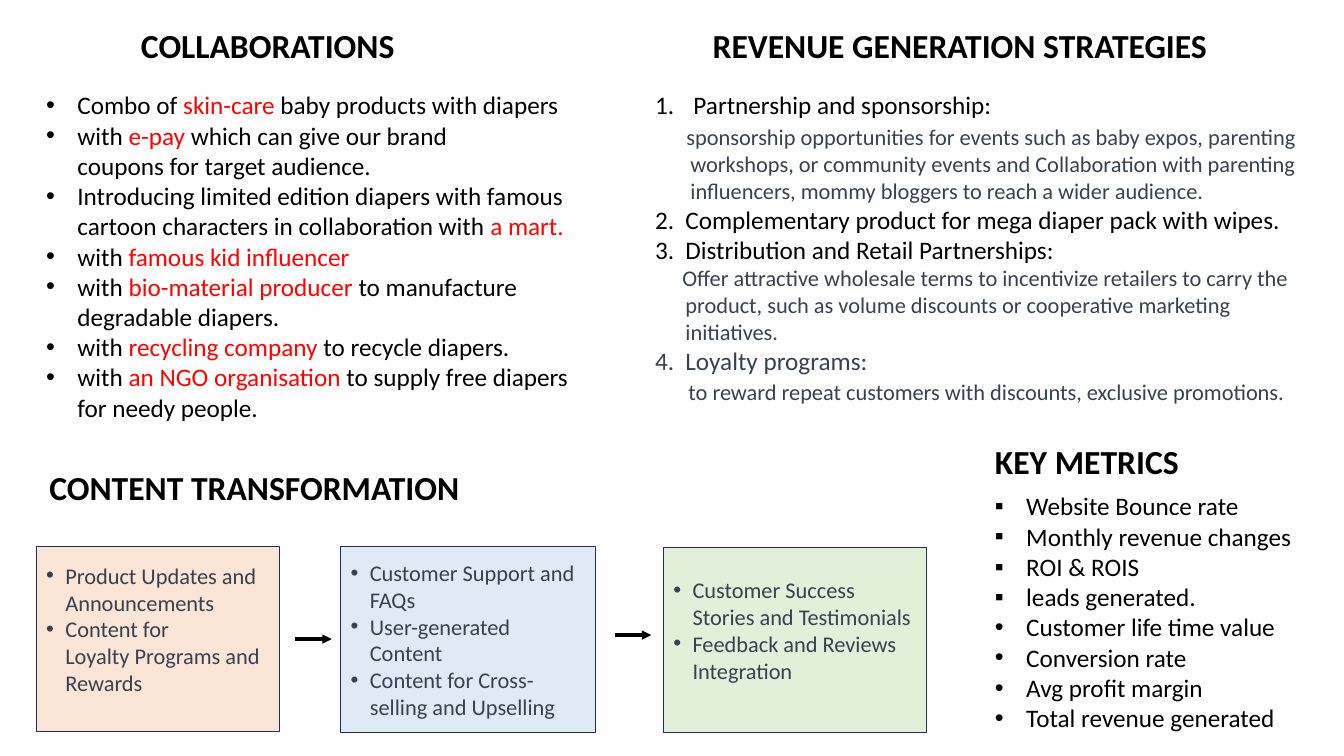
"""Builds a slide on collaborations, revenue, content and key metrics."""
import pptx
import pptx.chart.data
import pptx.dml.color
import pptx.enum.shapes
import pptx.enum.text
import pptx.oxml
import pptx.oxml.ns
import pptx.util
from pptx.util import Inches

COLORS = {
    "ink": "000000", "slate": "374151", "accent": "FF0000", "border": "1E3256",
    "peach": "FBE5D6", "sky": "DEEBF7", "mint": "E2F0D9",
}
FONT = "Calibri"
HEADINGS = [
    ("COLLABORATIONS", (1.3, 0.24, 4.62, 0.52), 0.9),
    ("REVENUE GENERATION STRATEGIES", (6.97, 0.24, 5.59, 0.52), 0.9),
    ("KEY METRICS", (9.77, 4.33, 3.32, 0.5), 1),
    ("CONTENT TRANSFORMATION", (0.39, 4.58, 5.28, 0.5), 1),
]
COLLABORATIONS_AREA = (0.36, 0.84, 5.64, 3.74)
COLLABORATIONS = [
    ("Combo of ", "skin-care", " baby products with diapers"),
    ("with ", "e-pay", " which can give our brand\ncoupons for target audience."),
    ("Introducing limited edition diapers with famous "
     "cartoon characters in collaboration with ", "a mart.", ""),
    ("with ", "famous kid influencer", ""),
    ("with ", "bio-material producer", " to manufacture degradable diapers."),
    ("with ", "recycling company", " to recycle diapers."),
    ("with ", "an NGO organisation", " to supply free diapers for needy people."),
]
STRATEGIES_AREA = (6.4, 0.84, 6.73, 4.14)
STRATEGIES = [
    {"title": "Partnership and sponsorship:", "hang": 0.38, "color": "ink",
     "detail": "sponsorship opportunities for events such as baby expos, parenting "
               "workshops, or community events and Collaboration with parenting "
               "influencers, mommy bloggers to reach a wider audience.",
     "left": 0.35, "first": -0.04, "before": 2.4},
    {"title": "Complementary product for mega diaper pack with wipes.",
     "hang": 0.3, "color": "ink"},
    {"title": "Distribution and Retail Partnerships:", "hang": 0.3, "color": "ink",
     "detail": "Offer attractive wholesale terms to incentivize retailers to carry the "
               "product, such as volume discounts or cooperative marketing initiatives.",
     "left": 0.3, "first": -0.03, "before": 0},
    {"title": "Loyalty programs:", "hang": 0.3, "color": "slate",
     "detail": "to reward repeat customers with discounts, exclusive promotions.",
     "left": 0.33, "first": 0, "before": 2.4},
]
METRICS_AREA = (9.77, 4.82, 3.39, 2.83)
METRICS = {
    "▪": ["Website Bounce rate", "Monthly revenue changes", "ROI & ROIS",
          "leads generated."],
    "•": ["Customer life time value", "Conversion rate", "Avg profit margin",
          "Total revenue generated"],
}
STAGES = [
    ((0.36, 5.42, 2.41, 1.84), "peach", 0.25,
     ["Product Updates and Announcements",
      "Content for\nLoyalty Programs and Rewards"]),
    ((3.38, 5.42, 2.53, 1.85), "sky", 0.05,
     ["Customer Support and FAQs", "User-generated\nContent",
      "Content for Cross-selling and Upselling"]),
    ((6.58, 5.43, 2.61, 1.84), "mint", 0.25,
     ["Customer Success Stories and Testimonials",
      "Feedback and Reviews Integration"]),
]
ARROWS = [(2.93, 6.34), (6.1, 6.3)]
ARROW_LENGTH = 0.36


def rgb(name):
    return pptx.dml.color.RGBColor.from_string(COLORS[name])


def add_child(parent, tag, **attributes):
    child = pptx.oxml.parse_xml(f"<a:{tag} {pptx.oxml.ns.nsdecls('a')}/>")
    for key, value in attributes.items():
        child.set(key, str(value))
    parent.append(child)


def add_paragraph(frame, parts, size, left=0, first=0, bullet=None, number=None,
                  before=0, bold=False, line_spacing=1):
    """Write one paragraph from (text, colour) parts; a newline breaks the line."""
    used = frame.paragraphs[0].runs
    paragraph = frame.add_paragraph() if used else frame.paragraphs[0]
    paragraph.alignment = pptx.enum.text.PP_ALIGN.LEFT
    paragraph.space_before = pptx.util.Pt(before)
    paragraph.line_spacing = line_spacing
    properties = paragraph._p.get_or_add_pPr()
    properties.set("marL", str(Inches(left)))
    properties.set("indent", str(Inches(first)))
    if bullet:
        add_child(properties, "buFont", typeface="Arial")
        add_child(properties, "buChar", char=bullet)
    elif number:
        add_child(properties, "buAutoNum", type="arabicPeriod", startAt=number)
    for text, color in parts:
        for index, line in enumerate(text.split("\n")):
            if index:
                paragraph.add_line_break()
            if line:
                run = paragraph.add_run()
                run.text = line
                run.font.name = FONT
                run.font.size = pptx.util.Pt(size)
                run.font.bold = bold
                run.font.color.rgb = rgb(color)


def add_text_frame(slide, area):
    frame = slide.shapes.add_textbox(*map(Inches, area)).text_frame
    frame.word_wrap = True
    return frame


def add_stage(slide, area, fill, bottom, topics):
    stage = slide.shapes.add_shape(
        pptx.enum.shapes.MSO_SHAPE.RECTANGLE, *map(Inches, area))
    stage.shadow.inherit = False
    stage.fill.solid()
    stage.fill.fore_color.rgb = rgb(fill)
    stage.line.color.rgb = rgb("border")
    stage.line.width = pptx.util.Pt(1)
    frame = stage.text_frame
    frame.word_wrap = True
    frame.vertical_anchor = pptx.enum.text.MSO_ANCHOR.MIDDLE
    frame.margin_bottom = Inches(bottom)
    for topic in topics:
        add_paragraph(frame, [(topic, "slate")], 16, 0.19, -0.19, "•")


def add_arrow(slide, x, y):
    arrow = slide.shapes.add_connector(
        pptx.enum.shapes.MSO_CONNECTOR.STRAIGHT,
        Inches(x), Inches(y), Inches(x + ARROW_LENGTH), Inches(y))
    arrow.line.color.rgb = rgb("ink")
    arrow.line.width = pptx.util.Pt(2.25)
    add_child(arrow.line._get_or_add_ln(), "tailEnd", type="triangle")
    add_child(arrow._element.spPr, "effectLst")


def main():
    deck = pptx.Presentation()
    deck.slide_width, deck.slide_height = Inches(13.33), Inches(7.5)
    slide = deck.slides.add_slide(deck.slide_layouts[6])

    for heading, area, spacing in HEADINGS:
        add_paragraph(add_text_frame(slide, area), [(heading, "ink")], 24,
                      bold=True, line_spacing=spacing)

    collaborations = add_text_frame(slide, COLLABORATIONS_AREA)
    for phrases in COLLABORATIONS:
        add_paragraph(collaborations, zip(phrases, ("ink", "accent", "ink")),
                      18, 0.31, -0.31, "•")

    strategies = add_text_frame(slide, STRATEGIES_AREA)
    for number, strategy in enumerate(STRATEGIES, 1):
        hang = strategy["hang"]
        add_paragraph(strategies, [(strategy["title"], strategy["color"])], 18,
                      hang, -hang, number=number)
        if "detail" in strategy:
            add_paragraph(strategies, [(strategy["detail"], "slate")], 16,
                          strategy["left"], strategy["first"],
                          before=strategy["before"])

    metrics = add_text_frame(slide, METRICS_AREA)
    for bullet, names in METRICS.items():
        for name in names:
            add_paragraph(metrics, [(name, "ink")], 18, 0.31, -0.31, bullet)

    for stage in STAGES:
        add_stage(slide, *stage)
    for start in ARROWS:
        add_arrow(slide, *start)
    deck.save("out.pptx")


if __name__ == "__main__":
    main()
